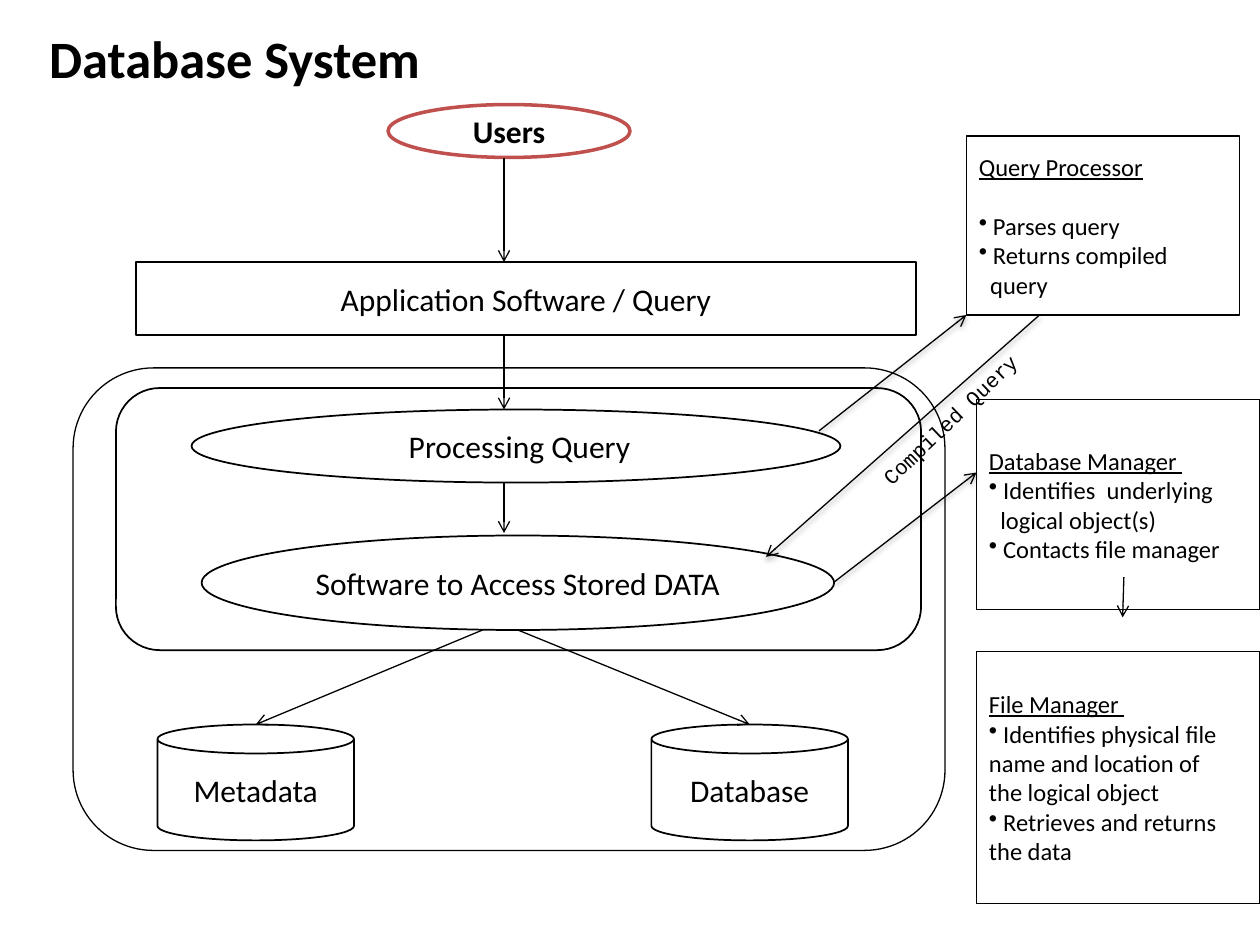
from lxml import etree
from pptx import Presentation
from pptx.dml.color import RGBColor
from pptx.enum.shapes import MSO_CONNECTOR as Link, MSO_SHAPE as Kind
from pptx.enum.text import MSO_ANCHOR as Anchor, PP_ALIGN as Align
from pptx.oxml.ns import qn
from pptx.util import Inches, Pt

BLACK = RGBColor(0, 0, 0)
WHITE = RGBColor(255, 255, 255)
RED = RGBColor(0xC0, 0x50, 0x4D)


class Board:
    """Draws styled elements on one slide."""

    def __init__(self, deck):
        self.slide = deck.slides.add_slide(deck.slide_layouts[5])
        self.shapes = self.slide.shapes

    def style(self, para, size, bold=False, under=False, face="Calibri"):
        for run in para.runs:
            font = run.font
            font.name, font.size = face, Pt(size)
            font.bold, font.underline = bold, under
            font.color.rgb = BLACK

    def title(self, text, *box):
        item = self.shapes.title
        item.left, item.top, item.width, item.height = map(Inches, box)
        frame = item.text_frame
        frame.text = text
        frame.margin_left = Inches(0.22)
        frame.vertical_anchor = Anchor.TOP
        para = frame.paragraphs[0]
        para.alignment = Align.LEFT
        self.style(para, 30, bold=True)

    def shape(self, kind, box, text="", line=BLACK, width=1, fill=WHITE, bold=False):
        item = self.shapes.add_shape(kind, *map(Inches, box))
        item.shadow.inherit = False
        if fill is None:
            item.fill.background()
        else:
            item.fill.solid()
            item.fill.fore_color.rgb = fill
        item.line.color.rgb = line
        item.line.width = Pt(width)
        frame = item.text_frame
        frame.vertical_anchor = Anchor.MIDDLE
        frame.text = text
        para = frame.paragraphs[0]
        para.alignment = Align.CENTER
        self.style(para, 18, bold)
        return item

    def panel(self, box, head, points, gap=0):
        frame = self.shape(Kind.RECTANGLE, box, head, width=0.75, fill=None).text_frame
        first = frame.paragraphs[0]
        first.alignment = Align.LEFT
        first.space_after = Pt(gap)
        self.style(first, 14, under=True)
        for point in points:
            lead, *rest = point.split("|")
            para = frame.add_paragraph()
            para.text = " " + lead
            self.bullet(para)
            if rest:
                more = frame.add_paragraph()
                more.text = rest[0]
                more._p.get_or_add_pPr().set("marL", str(Inches(0.09)))
        for para in frame.paragraphs[1:]:
            para.alignment = Align.LEFT
            self.style(para, 14)

    def bullet(self, para):
        props = para._p.get_or_add_pPr()
        props.set("marL", "0")
        props.set("indent", "0")
        etree.SubElement(props, qn("a:buChar"), char="•")

    def arrow(self, start, end, shade=False):
        item = self.shapes.add_connector(Link.STRAIGHT, *map(Inches, start + end))
        item.line.color.rgb = BLACK
        item.line.width = Pt(0.75)
        etree.SubElement(item.line._get_or_add_ln(), qn("a:tailEnd"), type="arrow")
        effect = etree.SubElement(item._element.spPr, qn("a:effectLst"))
        if shade:
            glow = etree.SubElement(
                effect, qn("a:outerShdw"), blurRad=str(Pt(3.1)),
                dist=str(Pt(1.6)), dir="5400000", rotWithShape="0")
            color = etree.SubElement(glow, qn("a:srgbClr"), val=str(BLACK))
            etree.SubElement(color, qn("a:alpha"), val="38000")

    def label(self, text, box, angle):
        item = self.shapes.add_textbox(*map(Inches, box))
        item.rotation = angle
        item.text_frame.word_wrap = True
        item.text_frame.text = text
        self.style(item.text_frame.paragraphs[0], 12, face="Courier New")


def main():
    deck = Presentation()
    deck.slide_width, deck.slide_height = Inches(10), Inches(7.5)
    board = Board(deck)
    board.title("Database System", 0.17, 0.16, 9.34, 0.61)
    board.shape(Kind.OVAL, (3.08, 0.83, 1.92, 0.42), "Users", RED, 2, bold=True)
    board.shape(Kind.ROUNDED_RECTANGLE, (0.58, 2.92, 6.92, 3.83), width=0.75)
    board.shape(Kind.RECTANGLE, (1.08, 2.08, 6.19, 0.58), "Application Software / Query")
    board.shape(Kind.ROUNDED_RECTANGLE, (0.92, 3.08, 6.39, 2.08))
    board.shape(Kind.OVAL, (1.52, 3.25, 5.15, 0.58), " Processing Query")
    board.shape(Kind.OVAL, (1.6, 4.25, 5.02, 0.75), "Software to Access Stored DATA")
    for left, name in ((1.25, "Metadata"), (5.17, "Database")):
        board.shape(Kind.CAN, (left, 5.75, 1.56, 0.92), name)

    for start, end in (((3.83, 5), (2.03, 5.75)), ((4.11, 5), (5.95, 5.75))):
        board.arrow(start, end)
    for top, low in ((1.25, 2.08), (2.67, 3.25), (3.83, 4.23)):
        board.arrow((4, top), (4, low))

    board.arrow((6.5, 3.42), (7.67, 2.5), shade=True)
    board.panel((7.67, 1.08, 2.17, 1.42), "Query Processor",
                ("Parses query", "Returns compiled|query"), gap=17)
    board.arrow((8.25, 2.5), (6.08, 4.42), shade=True)
    board.label("Compiled Query", (6.68, 3.03, 2.03, 0.3), 316.2)
    board.panel((7.75, 3.17, 2.25, 1.67), "Database Manager ",
                ("Identifies  underlying|logical object(s)", "Contacts file manager"))
    board.panel((7.75, 5.17, 2.25, 2), "File Manager ",
                ("Identifies physical file\vname and location of\vthe logical object",
                 "Retrieves and returns\vthe data"))
    board.arrow((6.62, 4.62), (7.75, 3.75), shade=True)
    board.arrow((8.92, 4.58), (8.91, 4.9))
    deck.save("out.pptx")


if __name__ == "__main__":
    main()
